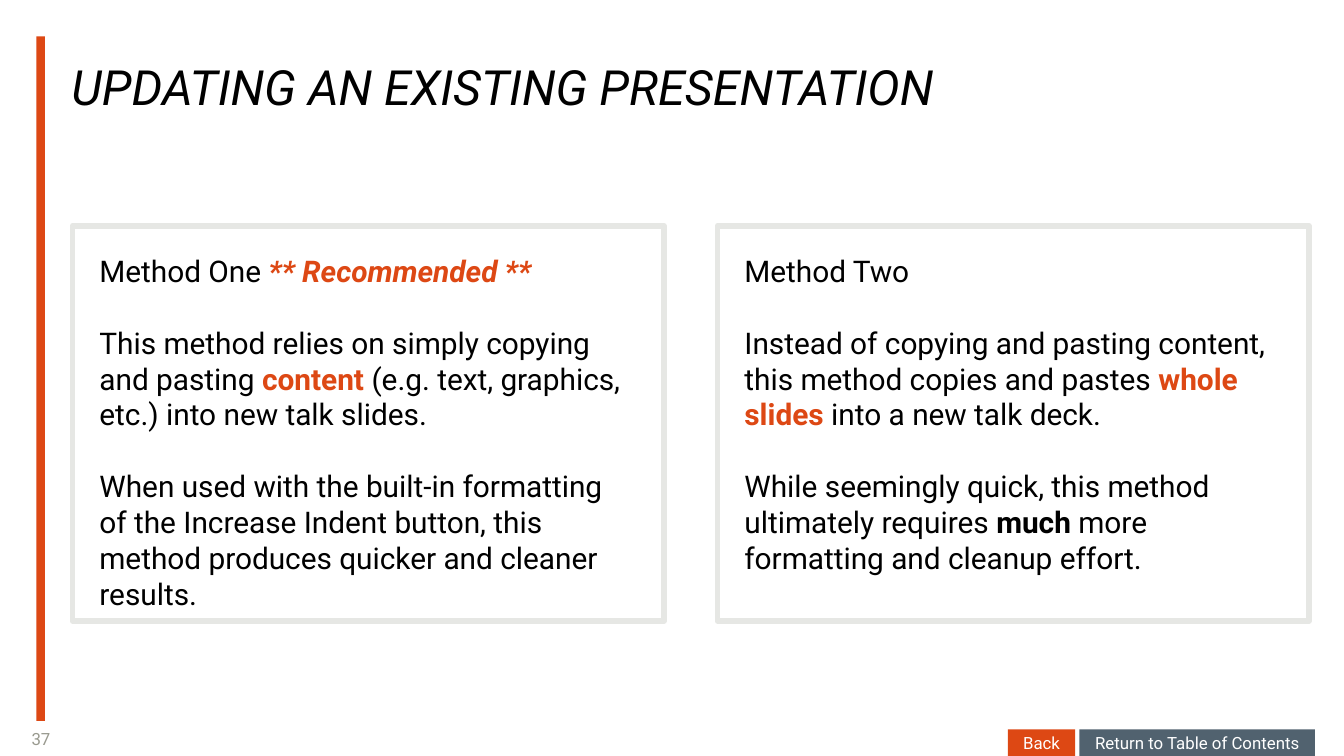
import pptx
import pptx.util
import pptx.dml.color
import pptx.enum.shapes
import pptx.enum.text

Cm, Pt = pptx.util.Cm, pptx.util.Pt
Align = pptx.enum.text.PP_ALIGN
Anchor = pptx.enum.text.MSO_ANCHOR
Rect = pptx.enum.shapes.MSO_SHAPE.RECTANGLE

ORANGE, SLATE, PALE, GREY = "DD4814", "51626F", "E6E7E4", "999A8F"
BLACK, WHITE = "000000", "FFFFFF"
BOLD = {"bold": True}
KEY = {"bold": True, "color": ORANGE}
STAR = {**KEY, "italic": True}

ONE = [
    [("Method One ", {}), ("** Recommended **", STAR)],
    [("This method relies on simply copying and pasting ", {}), ("content ", KEY),
     ("(e.g. text, graphics, etc.) into new talk slides.", {})],
    [("When used with the built-in formatting of the Increase Indent button, "
      "this method produces quicker and cleaner results.", {})],
]
TWO = [
    [("Method Two", {})],
    [("Instead of copying and pasting content, this method copies and pastes ", {}),
     ("whole slides ", KEY), ("into a new talk deck.", {})],
    [("While seemingly quick, this method ultimately requires ", {}), ("much", BOLD),
     (" more formatting and cleanup effort.", {})],
]


def tint(code):
    """Turn a hex string into a colour."""
    return pptx.dml.color.RGBColor.from_string(code)


def put(item, form):
    """Set each attribute named in a dict of format values."""
    for name, value in form.items():
        if name == "color":
            item.color.rgb = tint(value)
        else:
            setattr(item, name, value)


def write(frame, paras, font, para, pad=(0, 0), anchor=Anchor.TOP, gap=0):
    """Fill a text frame with paragraphs of (text, format) runs."""
    wide, high = map(Cm, pad)
    put(frame, {"margin_left": wide, "margin_right": wide, "margin_top": high,
                "margin_bottom": high, "word_wrap": True, "vertical_anchor": anchor,
                "auto_size": pptx.enum.text.MSO_AUTO_SIZE.NONE})
    for i, runs in enumerate(paras):
        line = frame.add_paragraph() if i else frame.paragraphs[0]
        put(line, {**para, "space_before": Pt(gap if i else 0)})
        for text, form in runs:
            run = line.add_run()
            run.text = text
            put(run.font, {"name": "Roboto", **font, **form})


def block(slide, box, fill=None, edge=None):
    """Draw a flat rectangle with an optional fill and edge."""
    shape = slide.shapes.add_shape(Rect, *map(Cm, box))
    shape.shadow.inherit = False
    if fill:
        shape.fill.solid()
        shape.fill.fore_color.rgb = tint(fill)
    else:
        shape.fill.background()
    if edge:
        put(shape.line, {"color": edge, "width": Pt(3)})
    else:
        shape.line.fill.background()
    return shape


def title(slide, box, text):
    """Place and format the slide title."""
    shape = slide.shapes.title
    put(shape, dict(zip(("left", "top", "width", "height"), map(Cm, box))))
    write(shape.text_frame, [[(text, {})]],
          {"size": Pt(26), "color": BLACK, "italic": True},
          {"alignment": Align.LEFT}, anchor=Anchor.BOTTOM)


def side(slide, box, number):
    """Draw the side bar with the page number under it."""
    left, top, width, height = box
    block(slide, (left + 0.69, top, 0.16, height - 0.66), ORANGE)
    label = slide.shapes.add_textbox(*map(Cm, (left, top + height - 0.66, width, 0.66)))
    write(label.text_frame, [[(number, {})]], {"size": Pt(9), "color": GREY},
          {"alignment": Align.CENTER}, anchor=Anchor.MIDDLE)


def cards(slide, box, texts, gap):
    """Share a box between equal framed text cards."""
    left, top, width, height = box
    wide = (width - gap * (len(texts) - 1)) / len(texts)
    for i, paras in enumerate(texts):
        card = block(slide, (left + i * (wide + gap), top, wide, height), edge=PALE)
        write(card.text_frame, paras, {"size": Pt(16), "color": BLACK},
              {"alignment": Align.LEFT}, pad=(0.51, 0.51), gap=19.2)


def foot(slide, box, tabs, gap):
    """Lay out the footer buttons from left to right."""
    left, top, _, height = box
    for text, fill, width in tabs:
        tab = block(slide, (left, top, width, height), fill)
        write(tab.text_frame, [[(text, {})]], {"size": Pt(9), "color": WHITE},
              {"alignment": Align.CENTER}, pad=(0.18, 0.1), anchor=Anchor.MIDDLE)
        left += width + gap


def main():
    """Build and save the deck."""
    deck = pptx.Presentation()
    put(deck, {"slide_width": Cm(25.4), "slide_height": Cm(14.29)})
    slide = deck.slides.add_slide(deck.slide_layouts[5])
    side(slide, (0, 0.69, 1.55, 13.6), "37")
    title(slide, (1.35, 0.66, 21.34, 1.52), "UPDATING AN EXISTING PRESENTATION")
    cards(slide, (1.37, 4.27, 23.37, 7.47), [ONE, TWO], 1.01)
    foot(slide, (19.05, 13.79, 5.8, 0.5),
         [("Back", ORANGE, 1.27), ("Return to Table of Contents", SLATE, 4.45)], 0.08)
    deck.save("out.pptx")


if __name__ == "__main__":
    main()
